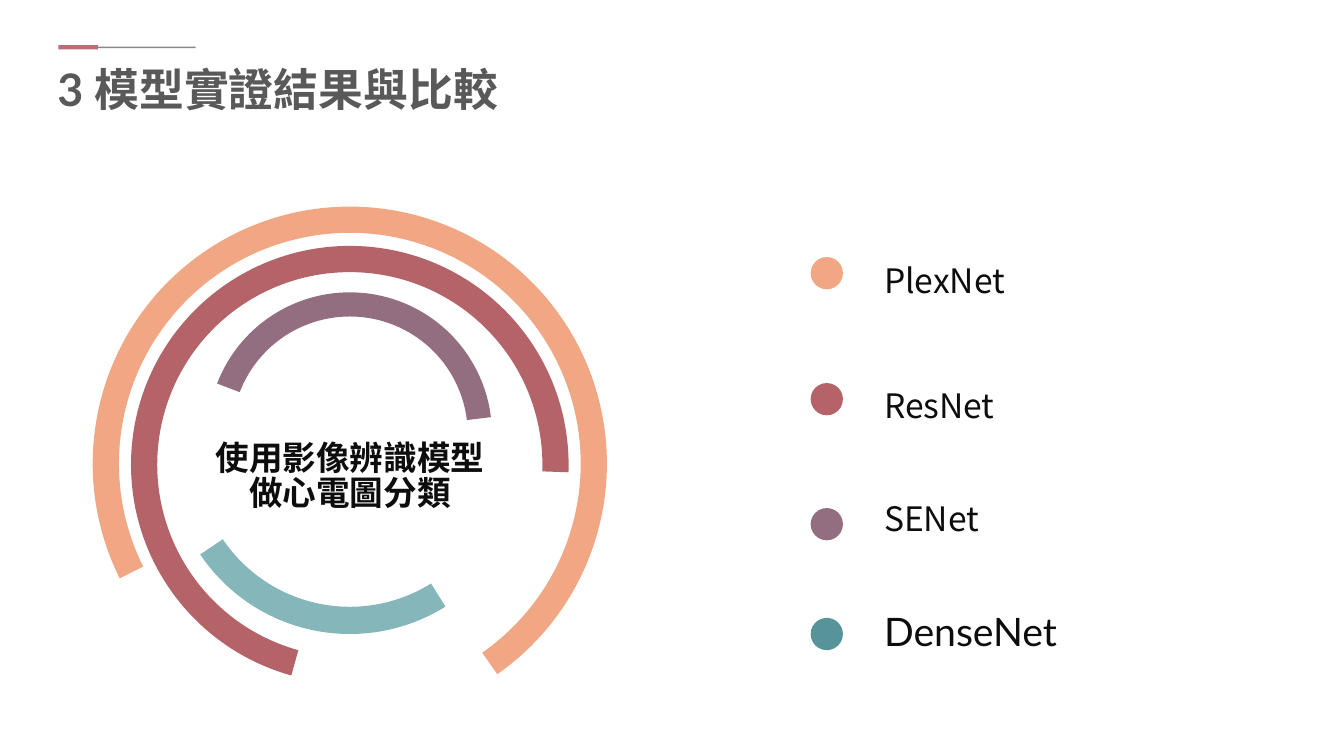
from lxml.etree import SubElement
from pptx import Presentation
from pptx.dml.color import RGBColor
from pptx.enum.shapes import MSO_CONNECTOR, MSO_SHAPE
from pptx.enum.text import MSO_ANCHOR, MSO_AUTO_SIZE, PP_ALIGN
from pptx.oxml.ns import qn
from pptx.util import Pt

PX = 9144
CJK = "Noto Sans CJK SC"
LATO = "Lato"
ORANGE, RED, PURPLE = "F1A783", "B46469", "926E80"
TEAL, PALE_TEAL = "569499", "84B6BA"
INK, TITLE_GRAY, RULE_GRAY = "0D0D0D", "595959", "808080"


def px(n):
    return n * PX


def rgb(value):
    return RGBColor.from_string(value)


def write(tf, text, size=24, font=CJK, color=INK, bold=False,
          align=PP_ALIGN.LEFT, spacing=1.0):
    tf.word_wrap = True
    tf.auto_size = MSO_AUTO_SIZE.NONE
    tf.vertical_anchor = MSO_ANCHOR.TOP
    for i, line in enumerate(text.split("\n")):
        p = tf.paragraphs[0] if i == 0 else tf.add_paragraph()
        p.alignment = align
        p.line_spacing = spacing
        r = p.add_run()
        r.text = line
        r.font.size = Pt(size)
        r.font.name = font
        r.font.bold = bold
        r.font.color.rgb = rgb(color)
        SubElement(r.font._element, qn("a:ea"), typeface=CJK)


class Deck:
    def __init__(self):
        self.prs = Presentation()
        self.prs.slide_width = px(1333)
        self.prs.slide_height = px(750)
        self.s = self.prs.slides.add_slide(self.prs.slide_layouts[5])

    def title(self, text, x, y, w, h, **style):
        sp = self.s.shapes.title
        sp.left, sp.top, sp.width, sp.height = map(px, (x, y, w, h))
        write(sp.text_frame, text, **style)

    def text(self, text, x, y, w, h, **style):
        sp = self.s.shapes.add_textbox(*map(px, (x, y, w, h)))
        write(sp.text_frame, text, **style)

    def rule(self, x1, x2, y, color, width):
        c = self.s.shapes.add_connector(
            MSO_CONNECTOR.STRAIGHT, px(x1), px(y), px(x2), px(y))
        c.line.color.rgb = rgb(color)
        c.line.width = Pt(width)
        clr = c.line._ln.find(".//" + qn("a:srgbClr"))
        SubElement(clr, qn("a:alpha"), val="92000")
        SubElement(c._element.spPr, qn("a:effectLst"))

    def round_shape(self, kind, cx, cy, radius, color):
        sp = self.s.shapes.add_shape(
            kind, px(cx - radius), px(cy - radius),
            px(2 * radius), px(2 * radius))
        sp.shadow.inherit = False
        sp.fill.solid()
        sp.fill.fore_color.rgb = rgb(color)
        sp.line.fill.background()
        return sp

    def dot(self, cx, cy, radius, color):
        self.round_shape(MSO_SHAPE.OVAL, cx, cy, radius, color)

    def arc(self, cx, cy, outer, inner, start, end, color):
        sp = self.round_shape(MSO_SHAPE.BLOCK_ARC, cx, cy, outer, color)
        sp.adjustments[0] = start * 0.6
        sp.adjustments[1] = end * 0.6
        sp.adjustments[2] = (outer - inner) / (2 * outer)


def main():
    deck = Deck()
    deck.rule(97, 194, 47, RULE_GRAY, 1)
    deck.rule(58, 97, 47, RED, 3)
    deck.title("3 模型實證結果與比較", 47, 56, 1065, 131,
               size=32, font=LATO, color=TITLE_GRAY, bold=True)

    for cy, outer, inner, start, end, color in (
        (461, 217, 191, 105.5, 2, RED),
        (460, 255, 229, 153.5, 55, ORANGE),
        (431, 141, 117, 201, 353, PURPLE),
        (450, 179, 152, 58, 146, PALE_TEAL),
    ):
        deck.arc(347, cy, outer, inner, start, end, color)
    deck.text("使用影像辨識模型\n做心電圖分類", 186, 434, 322, 80,
              bold=True, align=PP_ALIGN.CENTER, spacing=Pt(25))

    for name, dot_y, text_y, h, color, size, font, spacing in (
        ("PlexNet", 271, 258, 45, ORANGE, 24, CJK, 25),
        ("ResNet", 396, 382, 45, RED, 24, CJK, 25),
        ("SENet", 520, 507, 36, PURPLE, 24, CJK, 16),
        ("DenseNet", 629, 622, 37, TEAL, 28, LATO, 16),
    ):
        deck.dot(820, dot_y, 16, color)
        deck.text(name, 867, text_y, 400, h,
                  size=size, font=font, spacing=Pt(spacing))
    deck.prs.save("out.pptx")


if __name__ == "__main__":
    main()
